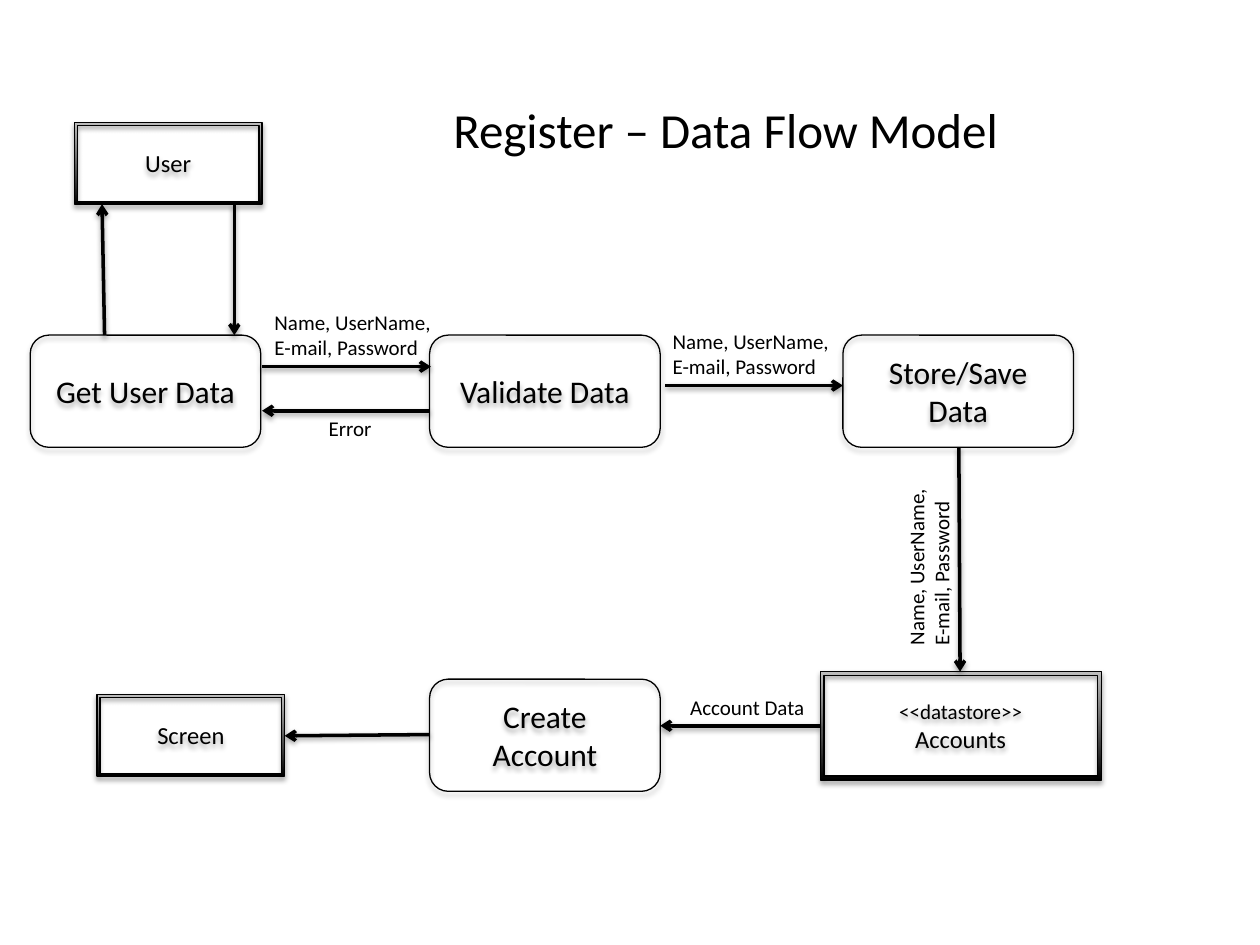
from lxml import etree
from pptx import Presentation
from pptx.dml.color import RGBColor
from pptx.enum.shapes import MSO_CONNECTOR, MSO_SHAPE
from pptx.enum.text import MSO_ANCHOR, MSO_AUTO_SIZE, PP_ALIGN
from pptx.oxml.ns import qn
from pptx.util import Inches, Pt

FRAME, ROUNDED = MSO_SHAPE.FRAME, MSO_SHAPE.ROUNDED_RECTANGLE
STRAIGHT = MSO_CONNECTOR.STRAIGHT
MIDDLE, CENTER, LEFT = MSO_ANCHOR.MIDDLE, PP_ALIGN.CENTER, PP_ALIGN.LEFT
FIT_SHAPE = MSO_AUTO_SIZE.SHAPE_TO_FIT_TEXT
BLACK = RGBColor(0x00, 0x00, 0x00)
GREY = RGBColor(0xBD, 0xBD, 0xBD)
FONT = "Calibri"
USER_FIELDS = ["Name, UserName,", "E-mail, Password"]

PROCESS_W, PROCESS_H = 1.83, 0.89
COLUMNS = (0.24, 3.41, 6.69)
TOP_ROW, BOTTOM_ROW = 2.66, 5.39


def write(frame, lines, sizes, align):
    """Fill a text frame with one paragraph per line."""
    for index, (line, size) in enumerate(zip(lines, sizes)):
        paragraph = frame.paragraphs[0] if index == 0 else frame.add_paragraph()
        paragraph.text = line
        paragraph.alignment = align
        paragraph.font.name = FONT
        paragraph.font.size = Pt(size)
        paragraph.font.color.rgb = BLACK


def drop_shadow(part, distance, opacity):
    """Give a shape or connector a soft shadow straight below it."""
    effects = etree.SubElement(part.element.spPr, qn("a:effectLst"))
    shadow = etree.SubElement(effects, qn("a:outerShdw"), blurRad=str(Pt(3.1)),
                              dist=str(Pt(distance)), dir="5400000", rotWithShape="0")
    color = etree.SubElement(shadow, qn("a:srgbClr"), val=str(BLACK))
    etree.SubElement(color, qn("a:alpha"), val=str(opacity * 1000))


def add_node(slide, kind, box, lines, sizes):
    """Add an outlined, shadowed shape with centred text."""
    node = slide.shapes.add_shape(kind, *map(Inches, box))
    node.fill.background()
    node.line.color.rgb = BLACK
    node.line.width = Pt(0.75)
    drop_shadow(node, 1.8, 35)
    node.text_frame.word_wrap = True
    node.text_frame.vertical_anchor = MIDDLE
    write(node.text_frame, lines, sizes, CENTER)
    return node


def add_entity(slide, box, lines, sizes):
    """Add a data source, sink or store as a gradient frame."""
    entity = add_node(slide, FRAME, box, lines, sizes)
    entity.adjustments[0] = 0.036
    entity.fill.gradient()
    entity.fill.gradient_angle = 90
    for stop, color in zip(entity.fill.gradient_stops, (BLACK, GREY)):
        stop.color.rgb = color


def add_process(slide, left, top, name):
    """Add a process as a rounded box."""
    add_node(slide, ROUNDED, (left, top, PROCESS_W, PROCESS_H), [name], [18])


def add_flow(slide, start, end):
    """Add an arrow from start to end."""
    flow = slide.shapes.add_connector(STRAIGHT, *map(Inches, start + end))
    flow.line.color.rgb = BLACK
    flow.line.width = Pt(2)
    outline = flow.element.spPr.find(qn("a:ln"))
    etree.SubElement(outline, qn("a:tailEnd"), type="arrow")
    drop_shadow(flow, 1.6, 38)


def add_text(slide, box, lines, size=12, wrap=False, rotation=0):
    """Add left-aligned plain text, such as a flow label or the title."""
    text = slide.shapes.add_textbox(*map(Inches, box))
    text.rotation = rotation
    text.text_frame.word_wrap = wrap
    text.text_frame.auto_size = FIT_SHAPE
    write(text.text_frame, lines, [size] * len(lines), LEFT)


def add_data_flow(slide):
    """Lay out entities, processes, flows and their labels."""
    add_entity(slide, (0.59, 0.97, 1.49, 0.65), ["User"], [14])
    add_entity(slide, (6.51, 5.33, 2.23, 0.86), ["<<datastore>>", "Accounts"], [12, 14])
    add_entity(slide, (0.77, 5.51, 1.49, 0.65), ["Screen"], [14])

    for left, name in zip(COLUMNS, ("Get User Data", "Validate Data", "Store/Save Data")):
        add_process(slide, left, TOP_ROW, name)
    add_process(slide, COLUMNS[1], BOTTOM_ROW, "Create Account")

    for start, end in (
        ((1.86, 1.62), (1.86, 2.66)),
        ((0.83, 2.66), (0.81, 1.62)),
        ((2.08, 2.91), (3.42, 2.91)),
        ((3.41, 3.26), (2.08, 3.26)),
        ((5.28, 3.06), (6.69, 3.06)),
        ((7.61, 3.55), (7.62, 5.33)),
        ((6.51, 5.76), (5.24, 5.76)),
        ((3.41, 5.83), (2.26, 5.84)),
    ):
        add_flow(slide, start, end)

    for left, top, rotation in ((2.08, 2.41, 0), (5.24, 2.56, 0), (6.64, 4.24, 270)):
        add_text(slide, (left, top, 1.46, 0.5), USER_FIELDS, rotation=rotation)
    add_text(slide, (2.51, 3.25, 0.55, 0.3), ["Error"])
    add_text(slide, (5.38, 5.46, 1.13, 0.3), ["Account Data"])


presentation = Presentation()
presentation.slide_width, presentation.slide_height = Inches(10), Inches(7.5)
register_slide = presentation.slides.add_slide(presentation.slide_layouts[6])
add_data_flow(register_slide)
add_text(register_slide, (3.5, 0.74, 4.61, 0.57), ["Register – Data Flow Model"], 28, wrap=True)
presentation.save("out.pptx")
